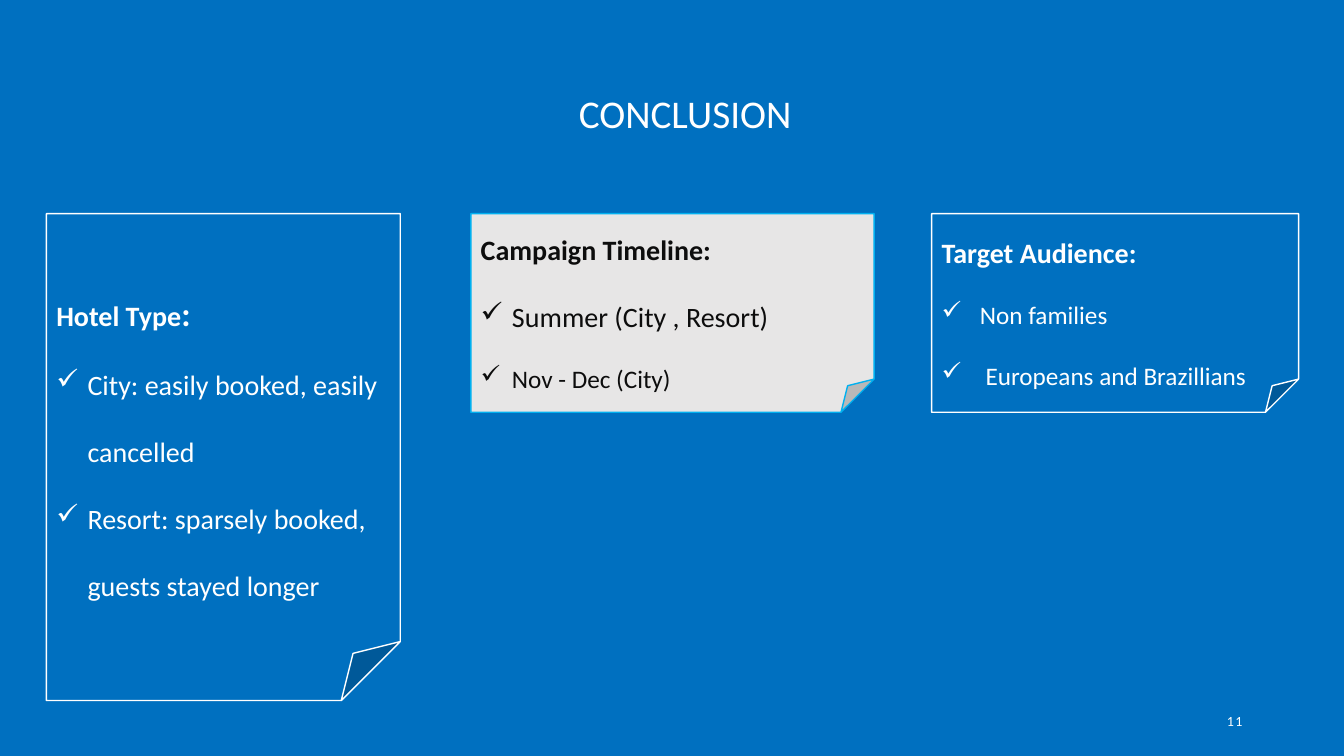
"""Build the hotel campaign conclusion slide."""
from dataclasses import dataclass

import lxml.etree
import pptx
import pptx.dml.color
import pptx.enum.shapes
import pptx.enum.text
import pptx.oxml.ns
import pptx.util

Inches = pptx.util.Inches
Pt = pptx.util.Pt
Align = pptx.enum.text.PP_ALIGN
Anchor = pptx.enum.text.MSO_ANCHOR


@dataclass(frozen=True)
class Theme:
    font: str = "Calibri"
    blue: str = "0070C0"
    white: str = "FFFFFF"
    grey: str = "E7E6E6"
    ink: str = "0D0D0D"
    cyan: str = "00B0F0"
    title: int = 28
    colon: int = 24
    heading: int = 20
    body: int = 18
    number: int = 10


class ConclusionSlide:
    def __init__(self, slide, theme):
        self.slide = slide
        self.theme = theme
        slide.background.fill.solid()
        slide.background.fill.fore_color.rgb = self.rgb(theme.blue)

    def rgb(self, value):
        return pptx.dml.color.RGBColor.from_string(value)

    def run(self, paragraph, wording, size, color, bold=False):
        run = paragraph.add_run()
        run.text = wording
        run.font.name = self.theme.font
        run.font.size = Pt(size)
        run.font.bold = bold
        run.font.color.rgb = self.rgb(color)
        return run

    def label(self, box, wording, size, align, anchor=Anchor.TOP):
        frame = self.slide.shapes.add_textbox(*map(Inches, box)).text_frame
        frame.word_wrap = True
        frame.vertical_anchor = anchor
        paragraph = frame.paragraphs[0]
        paragraph.alignment = align
        return paragraph, self.run(paragraph, wording, size, self.theme.white)

    def check(self, paragraph, indent):
        properties = paragraph._p.get_or_add_pPr()
        properties.set("marL", str(Inches(indent)))
        properties.set("indent", str(-Inches(indent)))
        bullet = lxml.etree.SubElement(properties, pptx.oxml.ns.qn("a:buChar"))
        bullet.set("char", "✓")

    def note(self, box, heading, points, fill, line, ink, indent):
        note = self.slide.shapes.add_shape(
            pptx.enum.shapes.MSO_SHAPE.FOLDED_CORNER, *map(Inches, box))
        note.shadow.inherit = False
        note.fill.solid()
        note.fill.fore_color.rgb = self.rgb(fill)
        note.line.color.rgb = self.rgb(line)
        note.line.width = Pt(1)
        frame = note.text_frame
        frame.word_wrap = True
        frame.vertical_anchor = Anchor.MIDDLE
        opening = frame.paragraphs[0]
        for wording, size in heading:
            self.run(opening, wording, size, ink, bold=True)
        for wording, size in points:
            point = frame.add_paragraph()
            self.run(point, wording, size, ink)
        for paragraph in frame.paragraphs:
            paragraph.alignment = Align.LEFT
            paragraph.line_spacing = 2.0
        for point in frame.paragraphs[1:]:
            self.check(point, indent)


def main():
    theme = Theme()
    deck = pptx.Presentation()
    deck.slide_width = Inches(13.33)
    deck.slide_height = Inches(7.5)
    page = ConclusionSlide(deck.slides.add_slide(deck.slide_layouts[6]), theme)

    number = page.label((9.42, 6.95, 3, 0.4), "11", theme.number,
                        Align.RIGHT, Anchor.MIDDLE)[1]
    number.font._element.set("spc", "100")
    title = page.label((2.99, 0.6, 7.61, 0.73), "CONCLUSION", theme.title,
                       Align.CENTER)[0]
    title.line_spacing = 1.5
    title.space_after = Pt(8)

    top, short, tall = 2.12, 1.97, 4.83
    page.note((9.24, top, 3.64, short),
              [("Target Audience:", theme.heading)],
              [("Non families", theme.body),
               (" Europeans and Brazillians", theme.body)],
              theme.blue, theme.white, theme.white, 0.38)
    page.note((4.67, top, 4, short),
              [("Campaign Timeline:", theme.heading)],
              [("Summer (City , Resort)", theme.heading),
               ("Nov - Dec (City)", theme.body)],
              theme.grey, theme.cyan, theme.ink, 0.31)
    page.note((0.46, top, 3.51, tall),
              [("Hotel Type", theme.heading), (":", theme.colon)],
              [("City: easily booked, easily cancelled", theme.heading),
               ("Resort: sparsely booked, guests stayed longer", theme.heading)],
              theme.blue, theme.white, theme.white, 0.31)
    deck.save("out.pptx")


if __name__ == "__main__":
    main()
